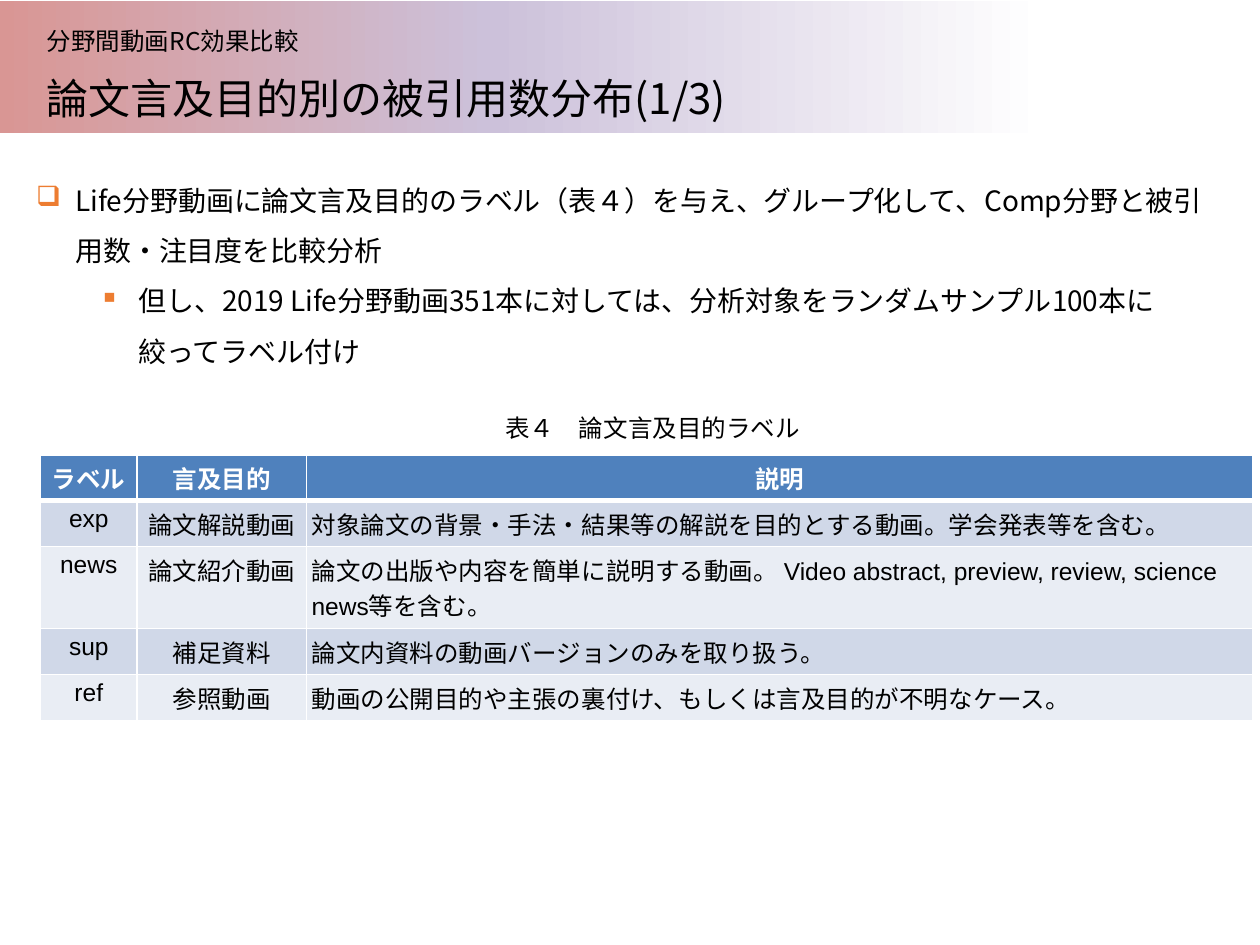
from lxml import etree
from pptx import Presentation, util as u
from pptx.dml.color import RGBColor
from pptx.enum import shapes, text
from pptx.oxml.ns import qn

THEME = {
    "font": "Noto Sans CJK JP", "table_font": "Arial",
    "title": 24, "body": 16, "small": 14,
    "ink": "000000", "white": "FFFFFF", "bullet": "ED7D31",
    "header": "4F81BD", "bands": ("D0D8E8", "E9EDF4"),
    "gradient": ((0, "D99694"), (39, "CCC1DA"), (83, "FFFFFF"), (100, "FFFFFF")),
}
SECTION = "分野間動画RC効果比較"
TITLE = "論文言及目的別の被引用数分布(1/3)"
BULLETS = [
    (0, "❑", 0.79, "Life分野動画に論文言及目的のラベル（表４）を与え、グループ化して、Comp分野と被引用数・注目度を比較分析"),
    (1, "▪", 2.06, "但し、2019 Life分野動画351本に対しては、分析対象をランダムサンプル100本に絞ってラベル付け"),
]
CAPTION = "表４　論文言及目的ラベル"
ROWS = [
    ("ラベル", "言及目的", "説明"),
    ("exp", "論文解説動画", "対象論文の背景・手法・結果等の解説を目的とする動画。学会発表等を含む。"),
    ("news", "論文紹介動画", "論文の出版や内容を簡単に説明する動画。 Video abstract, preview, review, science news等を含む。"),
    ("sup", "補足資料", "論文内資料の動画バージョンのみを取り扱う。"),
    ("ref", "参照動画", "動画の公開目的や主張の裏付け、もしくは言及目的が不明なケース。"),
]
COLUMN_WIDTHS = (1.94, 3.42, 19.08)
ROW_HEIGHTS = (0.91, 0.93, 1.65, 0.93, 0.93)
HANGING = 0.79


def add_child(parent, tag, **attributes):
    return etree.SubElement(parent, qn(tag), attributes)


def style(para, size, font=THEME["font"], color=THEME["ink"], bold=False):
    para.font.name = font
    para.font.size = u.Pt(size)
    para.font.bold = bold
    para.font.color.rgb = RGBColor.from_string(color)
    latin = para.font._element.find(qn("a:latin"))
    east_asian = etree.Element(qn("a:ea"), typeface=THEME["font"])
    latin.addnext(east_asian)


def add_text(page, place, content, size, anchor):
    box = page.shapes.add_textbox(*map(u.Cm, place))
    box.text_frame.word_wrap = True
    box.text_frame.vertical_anchor = anchor
    para = box.text_frame.paragraphs[0]
    para.text = content
    style(para, size)
    return box


def add_bullet(para, symbol, indent):
    properties = para._p.get_or_add_pPr()
    properties.set("marL", str(u.Cm(indent)))
    properties.set("indent", str(-u.Cm(HANGING)))
    color = etree.Element(qn("a:buClr"))
    add_child(color, "a:srgbClr", val=THEME["bullet"])
    mark = etree.Element(qn("a:buChar"), char=symbol)
    properties.find(qn("a:defRPr")).addprevious(color)
    color.addnext(mark)


def add_borders(cell, bottom_width):
    properties = cell._tc.get_or_add_tcPr()
    for index, (side, width) in enumerate((("L", 1), ("R", 1), ("T", 1), ("B", bottom_width))):
        line = etree.Element(qn("a:ln" + side), w=str(u.Pt(width)))
        add_child(add_child(line, "a:solidFill"), "a:srgbClr", val=THEME["white"])
        properties.insert(index, line)


def add_banner(page):
    banner = page.shapes.add_shape(
        shapes.MSO_SHAPE.RECTANGLE, 0, u.Cm(0.02), u.Cm(25.4), u.Cm(2.67))
    banner.shadow.inherit = False
    banner.line.fill.background()
    banner.fill.gradient()
    banner.fill.gradient_angle = 0
    stops = banner._element.spPr.find(qn("a:gradFill")).find(qn("a:gsLst"))
    for stop in list(stops):
        stops.remove(stop)
    for position, color in THEME["gradient"]:
        stop = add_child(stops, "a:gs", pos=str(position * 1000))
        add_child(stop, "a:srgbClr", val=color)


def add_body(page):
    box = page.shapes.add_textbox(*map(u.Cm, (0.48, 3.23, 24.08, 13.92)))
    frame = box.text_frame
    frame.word_wrap = True
    for index, (level, symbol, indent, content) in enumerate(BULLETS):
        para = frame.add_paragraph() if index else frame.paragraphs[0]
        para.text = content
        para.level = level
        para.line_spacing = 1.5
        style(para, THEME["body"])
        add_bullet(para, symbol, indent)


def add_label_table(page):
    table = page.shapes.add_table(
        len(ROWS), len(COLUMN_WIDTHS), u.Cm(0.82), u.Cm(9.18),
        u.Cm(sum(COLUMN_WIDTHS)), u.Cm(sum(ROW_HEIGHTS))).table
    for column, width in zip(table.columns, COLUMN_WIDTHS):
        column.width = u.Cm(width)
    for row, height in zip(table.rows, ROW_HEIGHTS):
        row.height = u.Cm(height)
    for row_index, values in enumerate(ROWS):
        header = row_index == 0
        fill = THEME["header"] if header else THEME["bands"][(row_index - 1) % 2]
        for column_index, value in enumerate(values):
            cell = table.cell(row_index, column_index)
            cell.margin_left = cell.margin_right = u.Cm(0.1)
            cell.margin_top = cell.margin_bottom = u.Cm(0.1)
            cell.fill.solid()
            cell.fill.fore_color.rgb = RGBColor.from_string(fill)
            add_borders(cell, 3 if header else 1)
            para = cell.text_frame.paragraphs[0]
            para.text = value
            centered = header or column_index < 2
            para.alignment = text.PP_ALIGN.CENTER if centered else text.PP_ALIGN.LEFT
            style(para, THEME["small"], THEME["table_font"],
                  THEME["white"] if header else THEME["ink"], header)


def main():
    deck = Presentation()
    deck.slide_width, deck.slide_height = u.Cm(25.4), u.Cm(19.05)
    page = deck.slides.add_slide(deck.slide_layouts[6])
    add_banner(page)
    add_text(page, (0.69, 0.36, 24.08, 2.24), TITLE, THEME["title"], text.MSO_ANCHOR.BOTTOM)
    add_body(page)
    add_text(page, (0.69, 0.36, 12.47, 0.89), SECTION, THEME["small"], text.MSO_ANCHOR.BOTTOM)
    add_label_table(page)
    caption = add_text(page, (7.42, 7.87, 11.48, 1.19), CAPTION, THEME["small"], text.MSO_ANCHOR.MIDDLE)
    caption_para = caption.text_frame.paragraphs[0]
    caption_para.alignment = text.PP_ALIGN.CENTER
    caption_para.line_spacing = 1.5
    deck.save("out.pptx")


if __name__ == "__main__":
    main()
